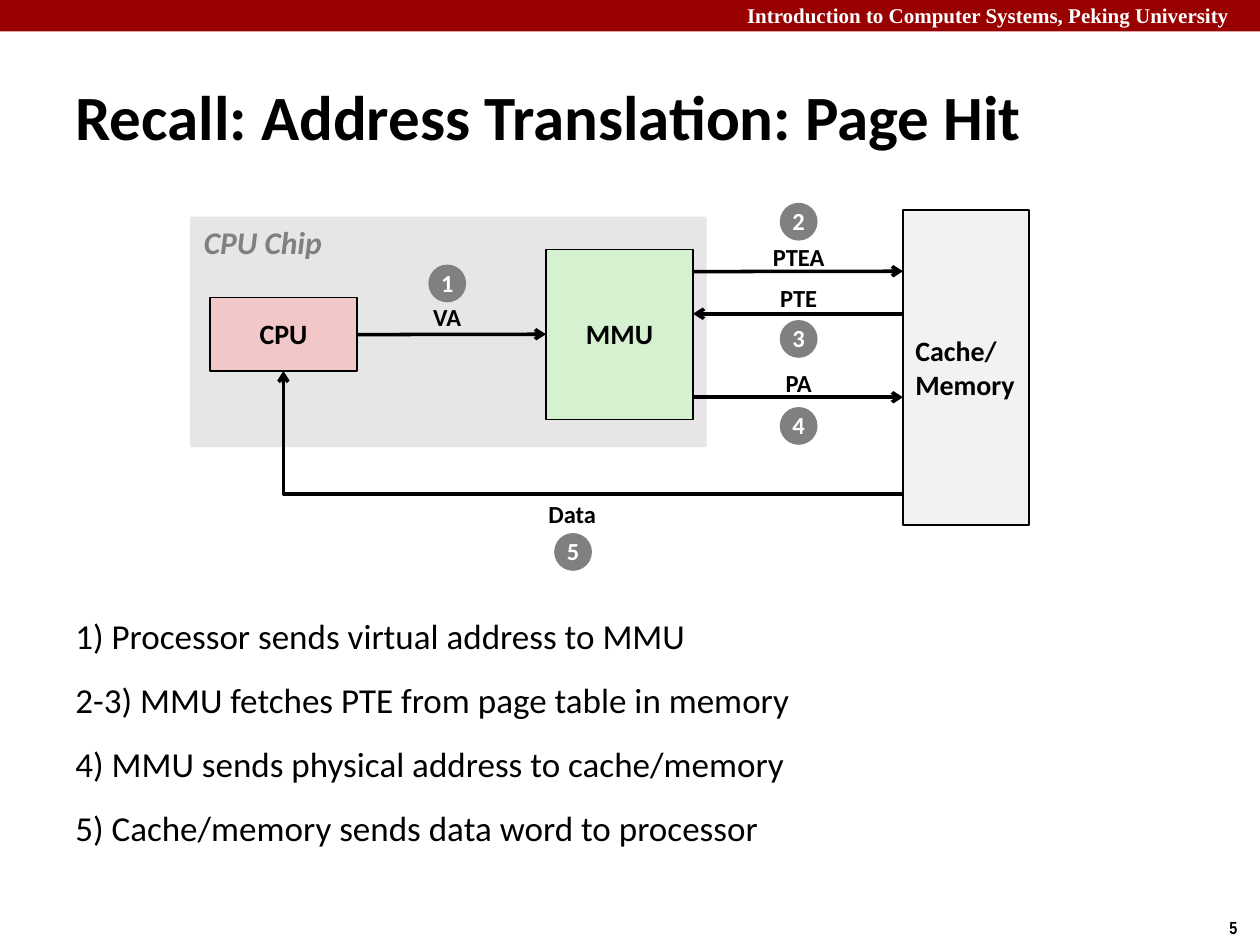
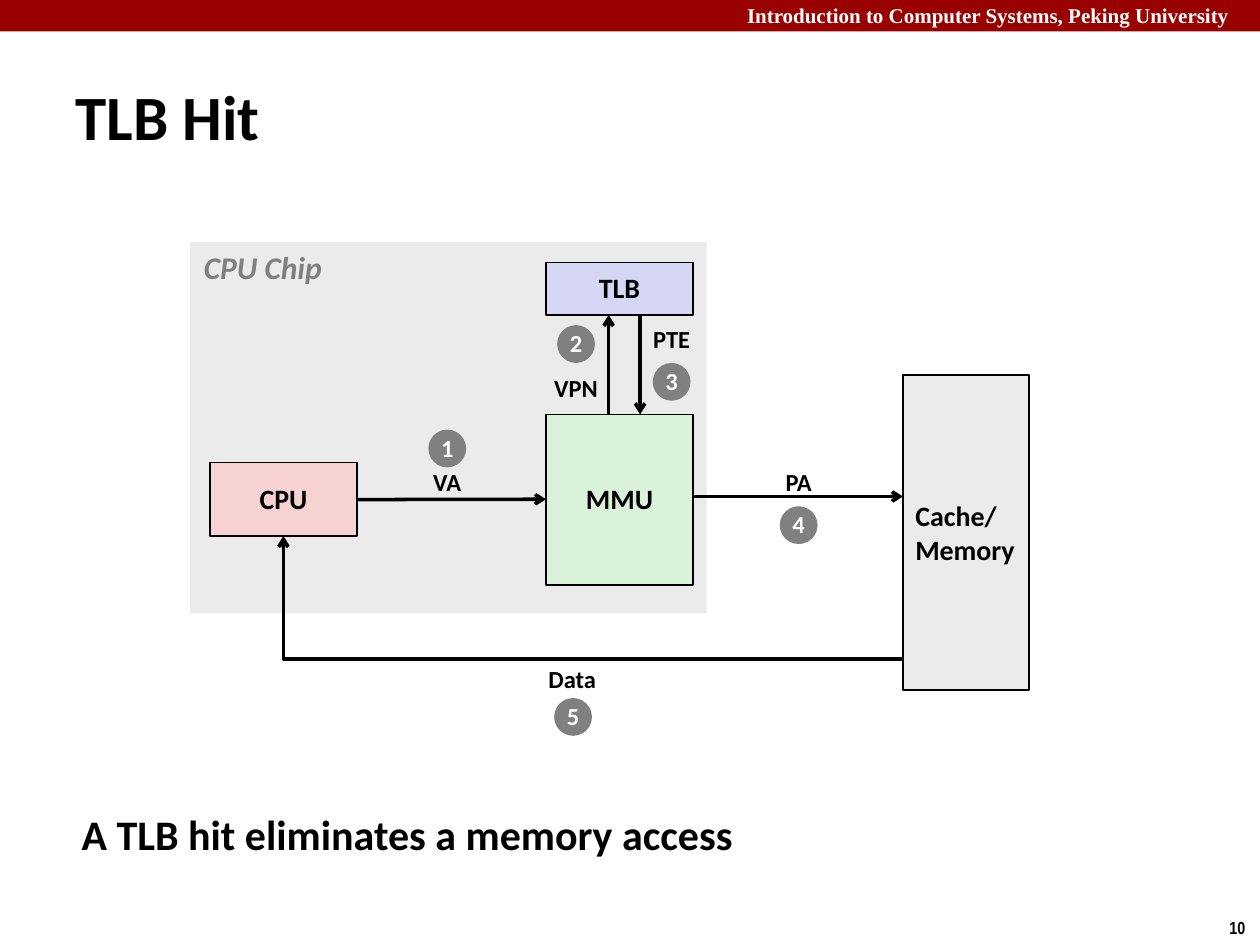
from pptx import Presentation
from pptx.dml.color import RGBColor
from pptx.enum.shapes import MSO_CONNECTOR, MSO_SHAPE
from pptx.enum.text import MSO_ANCHOR, PP_ALIGN
from pptx.oxml.ns import qn
from pptx.util import Pt
from lxml import etree

RECT, OVAL = MSO_SHAPE.RECTANGLE, MSO_SHAPE.OVAL
STRAIGHT, ELBOW = MSO_CONNECTOR.STRAIGHT, MSO_CONNECTOR.ELBOW
LEFT, CENTER = PP_ALIGN.LEFT, PP_ALIGN.CENTER
TOP, MIDDLE = MSO_ANCHOR.TOP, MSO_ANCHOR.MIDDLE

BLACK, WHITE, GREY, BAND = "000000", "FFFFFF", "808080", "990000"
FONT, HEADER_FONT, NUMBER_FONT = "Calibri", "Times New Roman", "Arial Narrow"

# Diagram geometry, in points
CPU_LEFT, MMU_LEFT, MEMORY_LEFT, BOX_W = 120, 312, 516, 84
CPU_TOP, CPU_H = 170, 42
MMU_TOP, MMU_H = 142.5, 97.3
MMU_RIGHT = MMU_LEFT + BOX_W
BUS_X = 456.4
BADGE = 21.6


def color(hex_value):
    return RGBColor.from_string(hex_value)


# Basic elements
def write(sp, lines, size, ink=BLACK, font=FONT, bold=True, italic=False,
          align=LEFT, anchor=TOP, wrap=False, gap=0):
    tf = sp.text_frame
    tf.word_wrap = wrap
    tf.vertical_anchor = anchor
    for i, line in enumerate(lines):
        p = tf.add_paragraph() if i else tf.paragraphs[0]
        p.text = line
        p.alignment = align
        if align == CENTER:
            p.line_spacing = 0.98
        if i and gap:
            p.space_before = Pt(gap)
        f = p.font
        f.size, f.name, f.bold, f.italic = Pt(size), font, bold, italic
        f.color.rgb = color(ink)


def text(s, x, y, w, h, lines, size, **style):
    sp = s.shapes.add_textbox(Pt(x), Pt(y), Pt(w), Pt(h))
    write(sp, lines, size, **style)


def shape(s, kind, x, y, w, h, fill, line=0):
    sp = s.shapes.add_shape(kind, Pt(x), Pt(y), Pt(w), Pt(h))
    sp.shadow.inherit = False
    sp.fill.solid()
    sp.fill.fore_color.rgb = color(fill)
    if line:
        sp.line.color.rgb = color(BLACK)
        sp.line.width = Pt(line)
    else:
        sp.line.fill.background()
    return sp


def arrow(s, x1, y1, x2, y2, kind=STRAIGHT):
    c = s.shapes.add_connector(kind, Pt(x1), Pt(y1), Pt(x2), Pt(y2))
    c.line.color.rgb = color(BLACK)
    c.line.width = Pt(2)
    sp_pr = c._element.spPr
    if kind == ELBOW:  # a single corner
        sp_pr.find(qn("a:prstGeom")).set("prst", "bentConnector2")
    etree.SubElement(sp_pr.find(qn("a:ln")), qn("a:tailEnd"), type="arrow")
    etree.SubElement(sp_pr, qn("a:effectLst"))


# Diagram elements
def unit(s, name, x, y, h, fill):
    sp = shape(s, RECT, x, y, BOX_W, h, fill, 1)
    write(sp, [name], 16, align=CENTER, anchor=MIDDLE)


def label(s, name, cx, cy):
    text(s, cx - 22, cy - 12, 44, 24, [name], 14, align=CENTER, anchor=MIDDLE)


def badge(s, number, cx, cy):
    sp = shape(s, OVAL, cx - BADGE / 2, cy - BADGE / 2, BADGE, BADGE, GREY)
    write(sp, [str(number)], 14, ink=WHITE, align=CENTER, anchor=MIDDLE)


def diagram(s, dy, chip_top, chip_h, pa_y, fills):
    """Chip, units and the steps that both slides share; dy shifts the units."""
    chip_fill, cpu_fill, mmu_fill, memory_fill = fills
    shape(s, RECT, 108.7, chip_top, 295.2, chip_h, chip_fill)
    text(s, 109.4, chip_top, 83.5, 28.8, ["CPU Chip"], 18, ink=GREY, italic=True)
    unit(s, "CPU", CPU_LEFT, CPU_TOP + dy, CPU_H, cpu_fill)
    unit(s, "MMU", MMU_LEFT, MMU_TOP + dy, MMU_H, mmu_fill)
    memory = shape(s, RECT, MEMORY_LEFT, 120 + dy, 72, 180, memory_fill, 1.5)
    write(memory, ["Cache/", "Memory"], 16, anchor=MIDDLE)

    # Step 1: virtual address
    arrow(s, CPU_LEFT + BOX_W, 191.2 + dy, MMU_LEFT, 191 + dy)
    label(s, "VA", 255.6, 181.8 + dy)
    badge(s, 1, 255.6, 162 + dy)

    # Step 4: physical address
    arrow(s, MMU_RIGHT, pa_y, MEMORY_LEFT, pa_y)
    label(s, "PA", BUS_X, pa_y - 7.7)
    badge(s, 4, BUS_X, pa_y + 16.4)

    # Step 5: data back to the processor
    arrow(s, MEMORY_LEFT, 282.2 + dy, CPU_LEFT + BOX_W / 2, CPU_TOP + CPU_H + dy, ELBOW)
    label(s, "Data", 327, 294.1 + dy)
    badge(s, 5, 327.5, 315.4 + dy)


# Slide frame: band, course name, title, number
def new_slide(prs, title, number):
    s = prs.slides.add_slide(prs.slide_layouts[6])
    shape(s, RECT, 0, 0, 720, 18, BAND)
    text(s, 419.8, -2, 305.3, 21.6,
         ["Introduction to Computer Systems, Peking University"], 12,
         ink=WHITE, font=HEADER_FONT, wrap=True)
    text(s, 36, 34.6, 686, 62, [title], 36, anchor=MIDDLE, wrap=True)
    text(s, 695.5, 520.5, 24.5, 19.4, [str(number)], 10, font=NUMBER_FONT)
    return s


def page_hit(prs):
    s = new_slide(prs, "Recall: Address Translation: Page Hit", 5)
    diagram(s, 0, 123.8, 131.8, 227, ("E6E6E6", "F1C7C7", "D5F1CF", "F2F2F2"))

    # Steps 2 and 3: page table entry from memory
    arrow(s, MMU_RIGHT, 155.2, MEMORY_LEFT, 155)
    label(s, "PTEA", BUS_X, 147.2)
    badge(s, 2, BUS_X, 126.7)
    arrow(s, MEMORY_LEFT, 179.3, MMU_RIGHT, 179.3)
    label(s, "PTE", BUS_X, 171)
    badge(s, 3, BUS_X, 193.7)

    steps = ["1) Processor sends virtual address to MMU",
             "2-3) MMU fetches PTE from page table in memory",
             "4) MMU sends physical address to cache/memory",
             "5) Cache/memory sends data word to processor"]
    text(s, 36, 347.8, 534, 162, steps, 20, bold=False, wrap=True, gap=12.5)


def tlb_hit(prs):
    s = new_slide(prs, "TLB Hit", 10)
    dy = 94.3
    diagram(s, dy, 138.2, 212.4, 283.7, ("EBEBEB", "F6D2D2", "DBF2DA", "EBEBEB"))

    # Steps 2 and 3: page table entry from the TLB
    tlb_top, tlb_h = 150, 30
    tlb_bottom, mmu_top = tlb_top + tlb_h, MMU_TOP + dy
    unit(s, "TLB", MMU_LEFT, tlb_top, tlb_h, "D6D6F5")
    arrow(s, 347.8, mmu_top, 347.8, tlb_bottom)
    label(s, "VPN", 329.2, 222.1)
    badge(s, 2, 329.2, 196.6)
    arrow(s, 365.8, tlb_bottom, 365.8, mmu_top)
    label(s, "PTE", 383.8, 194)
    badge(s, 3, 383.8, 218.2)

    text(s, 39.6, 458.6, 566, 45.4, ["A TLB hit eliminates a memory access"], 24, wrap=True)


def main():
    prs = Presentation()
    prs.slide_width, prs.slide_height = Pt(720), Pt(540)
    page_hit(prs)
    tlb_hit(prs)
    prs.save("out.pptx")


if __name__ == "__main__":
    main()
